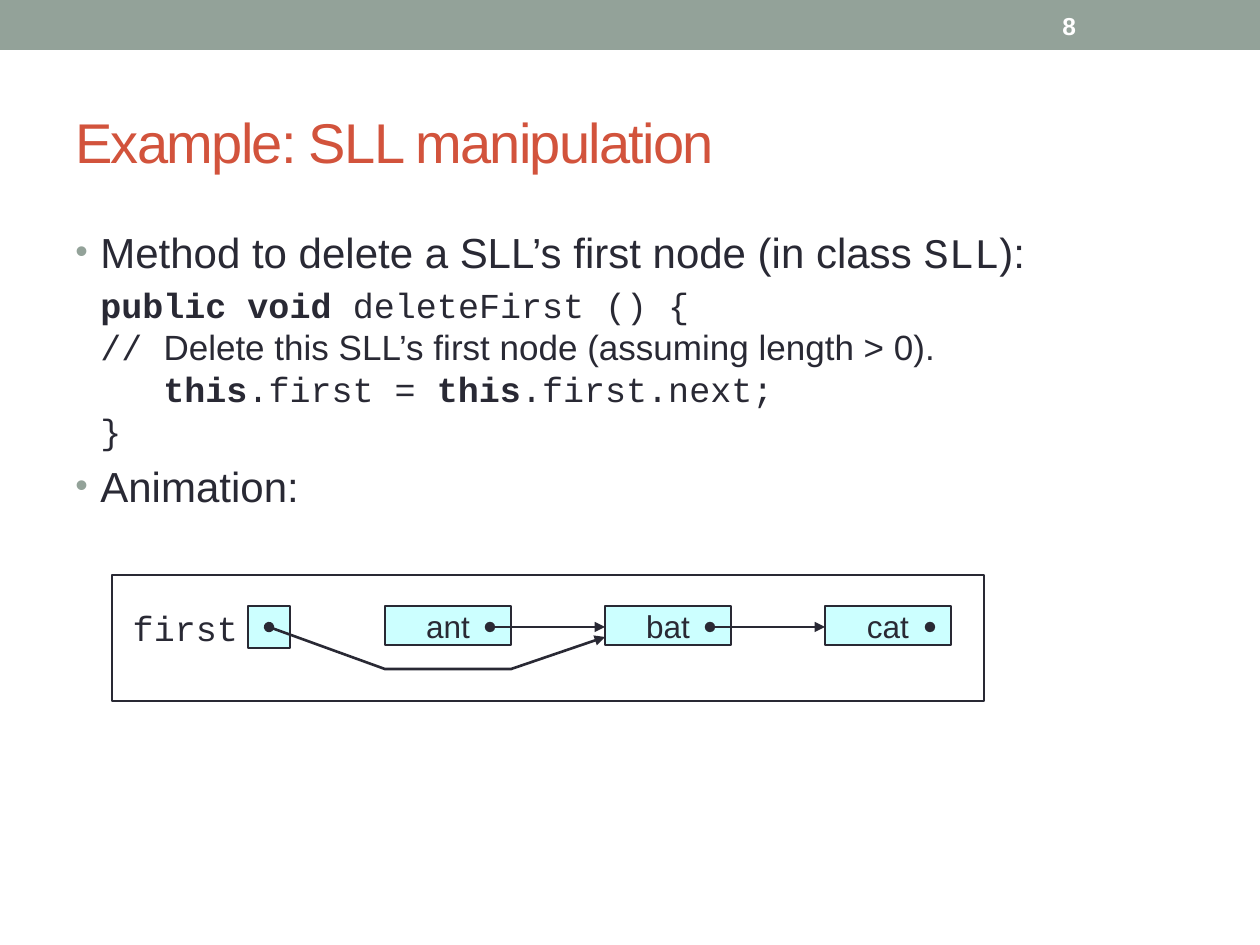
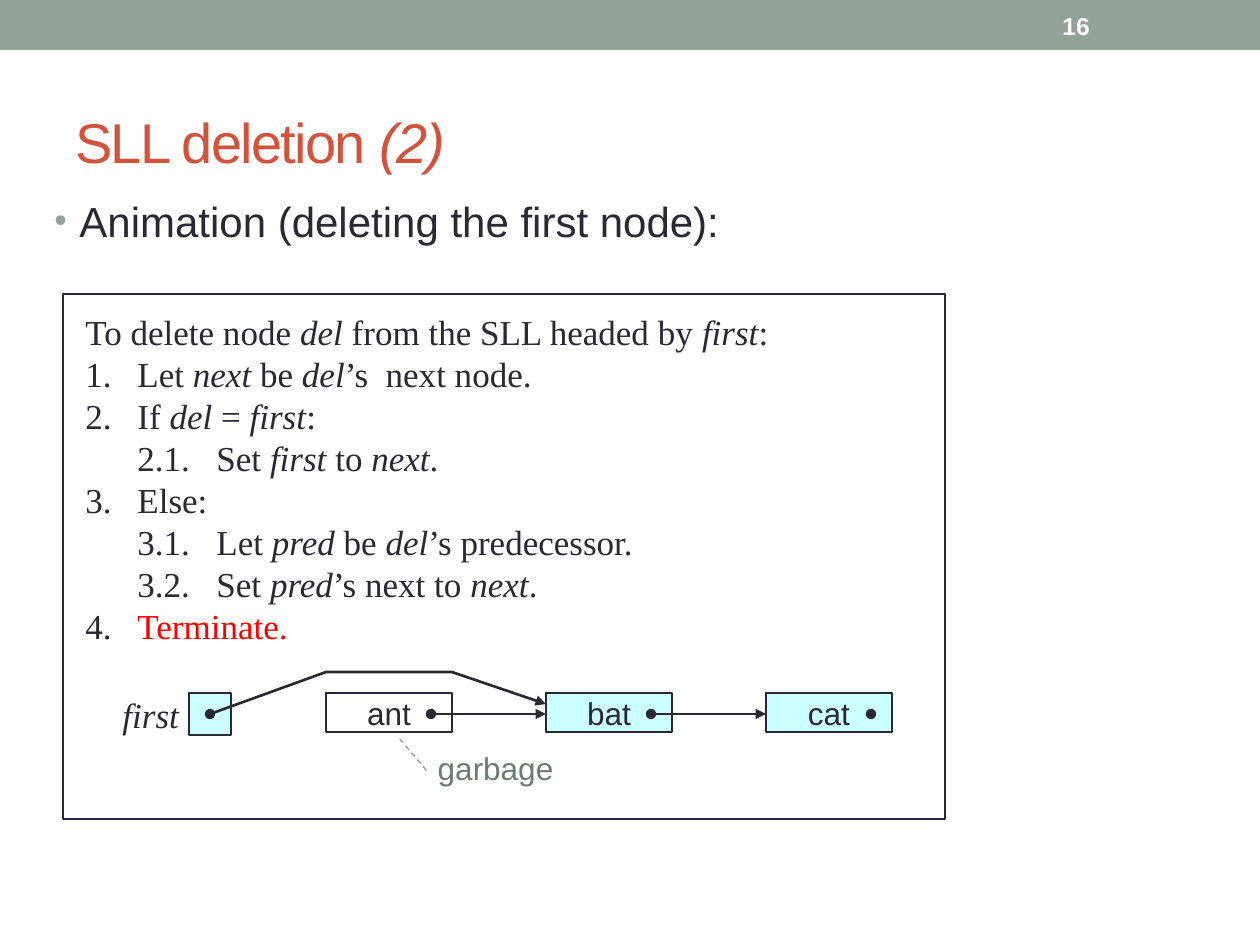
from lxml import etree
from pptx import Presentation
from pptx.dml.color import RGBColor
from pptx.enum.dml import MSO_LINE
from pptx.enum.shapes import MSO_CONNECTOR, MSO_SHAPE
from pptx.enum.text import MSO_ANCHOR, PP_ALIGN
from pptx.oxml.ns import qn
from pptx.util import Emu, Pt

RECT, CALLOUT = MSO_SHAPE.RECTANGLE, MSO_SHAPE.LINE_CALLOUT_1_NO_BORDER
STRAIGHT, DASH = MSO_CONNECTOR.STRAIGHT, MSO_LINE.DASH
TOP, MIDDLE = MSO_ANCHOR.TOP, MSO_ANCHOR.MIDDLE
LEFT, CENTER, RIGHT = PP_ALIGN.LEFT, PP_ALIGN.CENTER, PP_ALIGN.RIGHT

PIXEL = 914400 / 126
INK, SAGE, RUST, AQUA = "292934", "93A299", "D2533C", "CCFFFF"
WHITE, RED, MOSS = "FFFFFF", "FF0000", "6B7D72"
SANS, MONO, SERIF = "Arial", "Courier New", "Times New Roman"

# Text is a list of (words, changes to the base style) runs.
BOLD, ITALIC, CODE = {"bold": True}, {"italic": True}, {"font": MONO}
TITLE_STYLE = {"size": 32, "color": RUST, "spacing": -100}
NUMBER_STYLE = {"size": 14, "color": WHITE, "bold": True}
BODY_STYLE = {"size": 24}
CODE_STYLE = {"size": 20, "font": MONO}
STEP_STYLE = {"size": 20, "font": SERIF}
NODE_STYLE = {"size": 18}
TITLE_BOX, NUMBER_BOX = (63, 73, 1134, 136), (1050, 3, 147, 45)

DELETE_FIRST = [
    ("\t", {}), ("public void ", BOLD), ("deleteFirst () {\n// ", {}),
    ("Delete this SLL’s first node (assuming length > 0).\n\t", {"font": SANS}),
    ("this", BOLD), (".first = ", {}), ("this", BOLD), (".first.next;\n}", {}),
]
DELETION_STEPS = [
    ("To delete node ", {}), ("del", ITALIC),
    (" from the SLL headed by ", {}), ("first", ITALIC),
    (":\n1.\tLet ", {}), ("next ", ITALIC), ("be ", {}), ("del", ITALIC),
    ("’s  next node.\n2.\tIf ", {}), ("del", ITALIC), (" = ", {}),
    ("first", ITALIC), (":\n\t2.1.\tSet ", {}), ("first", ITALIC),
    (" to ", {}), ("next", ITALIC), (".\n3.\tElse:\n\t3.1.\tLet ", {}),
    ("pred", ITALIC), (" be ", {}), ("del", ITALIC),
    ("’s predecessor.\n\t3.2.\tSet ", {}), ("pred", ITALIC),
    ("’s next to ", {}), ("next", ITALIC), (".\n4.\t", {}),
    ("Terminate.", {"color": RED}),
]
SLIDES = [
    {
        "number": "8",
        "title": [("Example: SLL manipulation", {})],
        "body_box": (63, 220, 1134, 672),
        "body": [
            ("bullet", [("Method to delete a SLL’s first node (in class ", {}),
                        ("SLL", CODE), ("):", {})]),
            ("code", DELETE_FIRST),
            ("bullet", [("Animation:", {})]),
        ],
        "frame": (112, 575, 872, 126),
        "head": (248, 606),
        "label": 116,
        "label_style": CODE_STYLE,
        "nodes": [("ant", AQUA), ("bat", AQUA), ("cat", AQUA)],
        "bypass": 1,
    },
    {
        "number": "16",
        "title": [("SLL deletion ", {}), ("(2)", ITALIC)],
        "body_box": (42, 189, 1050, 661),
        "body": [("bullet", [("Animation (deleting the first node):", {})])],
        "frame": (63, 294, 882, 525),
        "steps_box": (73, 304, 861, 349),
        "head": (189, 693),
        "label": 84,
        "label_style": {**STEP_STYLE, **ITALIC},
        "nodes": [("ant", WHITE), ("bat", AQUA), ("cat", AQUA)],
        "bypass": -1,
        "garbage_box": (437, 755, 117, 35),
    },
]
CELL, NODE_W, NODE_H = 42, 126, 39
FIRST_NODE, NODE_PITCH, NODE_DOT = 137, 220, 105
STEP_TABS = (52, 131)


def px(length):
    """Turn picture pixels into EMU."""
    return Emu(round(length * PIXEL))


def rgb(color):
    """Turn a hex string into a colour."""
    return RGBColor.from_string(color)


def write_runs(paragraph, runs, base):
    """Add styled runs, with a line break at every newline."""
    for words, changes in runs:
        style = {"font": SANS, "color": INK, **base, **changes}
        for index, piece in enumerate(words.split("\n")):
            if index:
                paragraph.add_line_break()
            if not piece:
                continue
            run = paragraph.add_run()
            run.text = piece
            run.font.name = style["font"]
            run.font.size = Pt(style["size"])
            run.font.color.rgb = rgb(style["color"])
            run.font.bold = style.get("bold", False)
            run.font.italic = style.get("italic", False)
            if "spacing" in style:
                run.font._element.set("spc", str(style["spacing"]))


def set_frame(shape, anchor=TOP, inset=True):
    """Prepare a shape's text frame and return it."""
    frame = shape.text_frame
    frame.word_wrap = True
    frame.vertical_anchor = anchor
    if not inset:
        frame.margin_left = frame.margin_right = 0
        frame.margin_top = frame.margin_bottom = 0
    return frame


def add_text(shapes, box, runs, style, anchor=MIDDLE, align=LEFT, inset=True):
    """Add a one-paragraph text box and return its paragraph."""
    label = shapes.add_textbox(*map(px, box))
    paragraph = set_frame(label, anchor, inset).paragraphs[0]
    paragraph.alignment = align
    write_runs(paragraph, runs, style)
    return paragraph


def add_box(shapes, box, fill, line=INK):
    """Add a flat rectangle."""
    rect = shapes.add_shape(RECT, *map(px, box))
    rect.shadow.inherit = False
    rect.fill.solid()
    rect.fill.fore_color.rgb = rgb(fill)
    if line:
        rect.line.color.rgb = rgb(line)
        rect.line.width = Pt(0.75)
    else:
        rect.line.fill.background()
    return rect


def style_pointer(pointer, arrow=True):
    """Draw a line as a pointer from a dot to an arrowhead."""
    pointer.line.color.rgb = rgb(INK)
    pointer.line.width = Pt(1.5)
    outline = pointer.line._get_or_add_ln()
    etree.SubElement(outline, qn("a:headEnd"), type="oval")
    if arrow:
        etree.SubElement(outline, qn("a:tailEnd"), type="triangle")


def add_pointer(shapes, start, end, y, arrow=True):
    """Add a level pointer."""
    pointer = shapes.add_connector(STRAIGHT, px(start), px(y), px(end), px(y))
    style_pointer(pointer, arrow)
    etree.SubElement(pointer._element.spPr, qn("a:effectLst"))


def add_bypass(shapes, points):
    """Add the bent pointer that skips the first node."""
    corners = [(px(x), px(y)) for x, y in points]
    builder = shapes.build_freeform(*corners[0], scale=1.0)
    builder.add_line_segments(corners[1:], close=False)
    bypass = builder.convert_to_shape()
    bypass.shadow.inherit = False
    bypass.fill.background()
    style_pointer(bypass)


def add_garbage(shapes, box):
    """Add the callout that marks the unlinked node."""
    callout = shapes.add_shape(CALLOUT, *map(px, box))
    for index, value in enumerate((0.44, -0.09, -0.5, -0.33)):
        callout.adjustments[index] = value
    callout.shadow.inherit = False
    callout.fill.background()
    callout.line.color.rgb = rgb(SAGE)
    callout.line.width = Pt(0.75)
    callout.line.dash_style = DASH
    paragraph = set_frame(callout, TOP, False).paragraphs[0]
    paragraph.alignment = CENTER
    paragraph.line_spacing = Pt(18)
    write_runs(paragraph, [("garbage", {})], {**NODE_STYLE, "color": MOSS})


def add_steps(shapes, box):
    """Add the numbered algorithm."""
    steps = add_text(shapes, box, DELETION_STEPS, STEP_STYLE, TOP)
    steps.line_spacing = Pt(24)
    tabs = etree.SubElement(steps._p.get_or_add_pPr(), qn("a:tabLst"))
    for stop in STEP_TABS:
        etree.SubElement(tabs, qn("a:tab"), pos=str(px(stop)), algn="l")


def add_diagram(slide, content):
    """Draw the framed linked list as one group."""
    shapes = slide.shapes.add_group_shape().shapes
    add_box(shapes, content["frame"], WHITE)
    if "steps_box" in content:
        add_steps(shapes, content["steps_box"])
    x, y = content["head"]
    middle = y + CELL // 2
    add_box(shapes, (x, y, CELL, CELL), AQUA)
    label_right = content["frame"][0] + content["label"]
    label_right = x - 10
    add_text(shapes, (label_right - content["label"], y, content["label"], CELL),
             [("first", {})], content["label_style"], TOP, RIGHT, False)

    lefts = [x + FIRST_NODE + i * NODE_PITCH for i in range(len(content["nodes"]))]
    for index, (left, (name, fill)) in enumerate(zip(lefts, content["nodes"])):
        node = add_box(shapes, (left, y, NODE_W, NODE_H), fill)
        paragraph = set_frame(node, MIDDLE, False).paragraphs[0]
        paragraph.alignment = CENTER
        write_runs(paragraph, [(name, {})], NODE_STYLE)
        dot, last = left + NODE_DOT, index == len(lefts) - 1
        add_pointer(shapes, dot, dot + 4 if last else lefts[index + 1],
                    middle, not last)

    side = content["bypass"]
    bend = middle + side * CELL
    add_bypass(shapes, [(x + CELL // 2, middle), (lefts[0], bend),
                        (lefts[0] + NODE_W, bend), (lefts[1], middle + side * 10)])
    if "garbage_box" in content:
        add_garbage(shapes, content["garbage_box"])


def add_body(slide, box, paragraphs):
    """Add the bulleted text and code."""
    frame = set_frame(slide.shapes.add_textbox(*map(px, box)))
    for index, (kind, runs) in enumerate(paragraphs):
        paragraph = frame.add_paragraph() if index else frame.paragraphs[0]
        style = BODY_STYLE if kind == "bullet" else CODE_STYLE
        paragraph.space_before = Pt(0.2 * style["size"])
        props = paragraph._p.get_or_add_pPr()
        props.set("marL", str(px(25)))
        props.set("indent", str(px(-25)))
        if kind == "bullet":
            color = etree.SubElement(props, qn("a:buClr"))
            etree.SubElement(color, qn("a:srgbClr"), val=SAGE)
            etree.SubElement(props, qn("a:buSzPct"), val="85000")
            etree.SubElement(props, qn("a:buFont"), typeface=SANS)
            etree.SubElement(props, qn("a:buChar"), char="•")
        else:
            paragraph.line_spacing = Pt(24)
        write_runs(paragraph, runs, style)


def add_slide(deck, content):
    """Build one slide: band, diagram, title, body and number."""
    slide = deck.slides.add_slide(deck.slide_layouts[6])
    add_box(slide.shapes, (0, 0, 1260, 50), SAGE, None)
    add_diagram(slide, content)
    add_text(slide.shapes, TITLE_BOX, content["title"], TITLE_STYLE)
    add_body(slide, content["body_box"], content["body"])
    add_text(slide.shapes, NUMBER_BOX, [(content["number"], {})], NUMBER_STYLE)


deck = Presentation()
deck.slide_width, deck.slide_height = px(1260), px(945)
for slide_content in SLIDES:
    add_slide(deck, slide_content)
deck.save("out.pptx")
